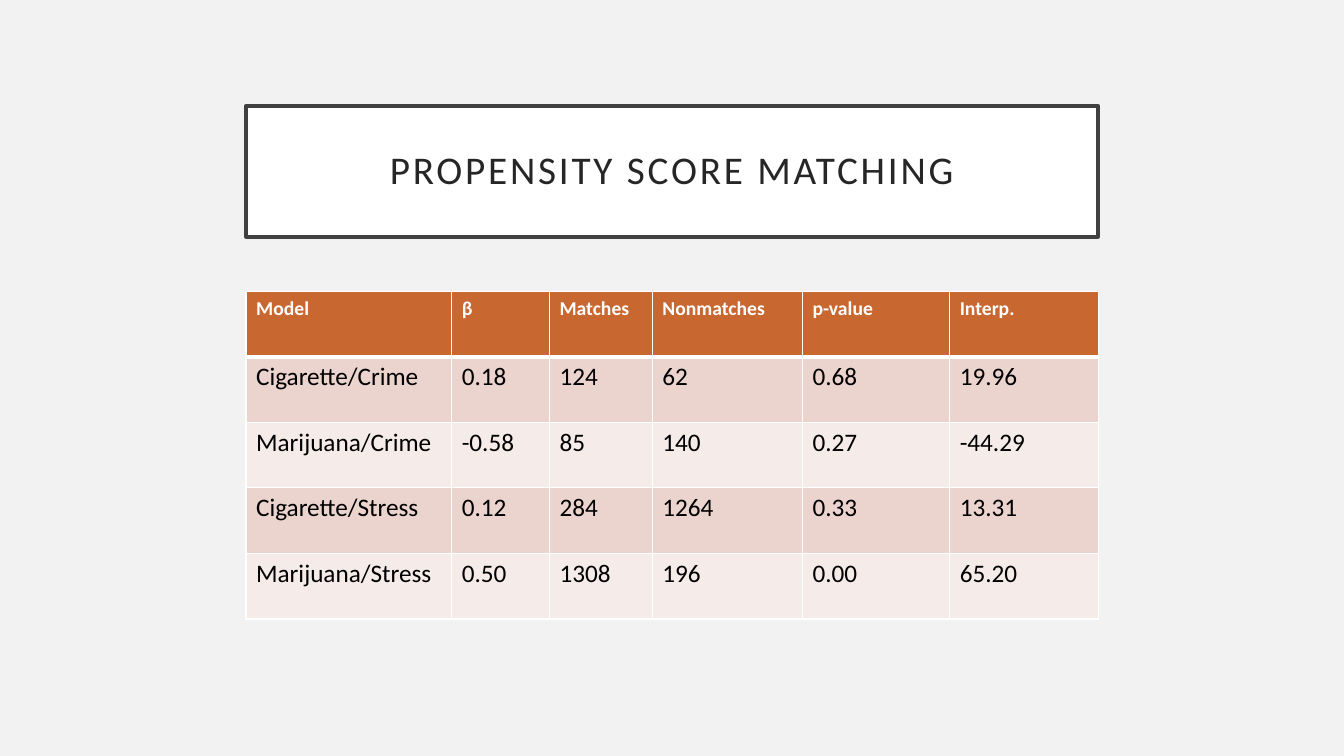
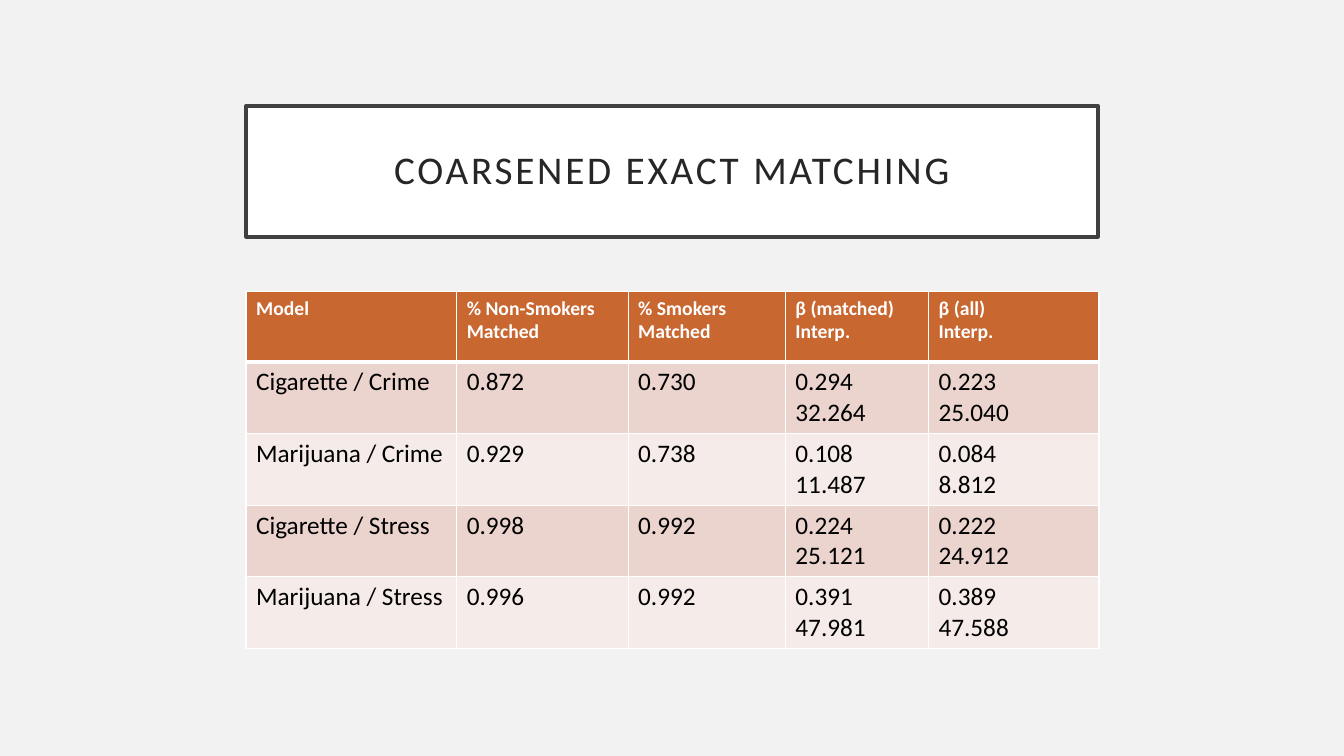
from dataclasses import dataclass

from lxml.etree import SubElement
from pptx import Presentation
from pptx.dml.color import RGBColor
from pptx.enum.text import MSO_ANCHOR, MSO_AUTO_SIZE, PP_ALIGN
from pptx.oxml.ns import qn
from pptx.presentation import Presentation as Deck
from pptx.slide import Slide
from pptx.table import _Cell as Cell
from pptx.text.text import TextFrame
from pptx.util import Emu, Pt

# Shared scale, in px at 100 px to the inch
EMU_PER_PX = 9144
SLIDE_WIDTH, SLIDE_HEIGHT = 1333, 750
CONTENT_LEFT, CONTENT_WIDTH = 244, 845
TITLE_TOP, TITLE_HEIGHT, TITLE_INSET = 105, 130, 20
TABLE_TOP = 289

# Shared look
FONT = "Calibri"
BACKGROUND, WHITE, BLACK = "F2F2F2", "FFFFFF", "000000"
TITLE_TEXT, TITLE_FRAME = "262626", "404040"
HEADER_FILL = "C96731"
BAND_FILLS = ("EBD3CE", "F5EBE8")
THIN_RULE, HEADER_RULE = 1, 3
TITLE_ONLY_LAYOUT = 5


@dataclass(frozen=True)
class TextStyle:
    size: int
    color: str
    bold: bool = False
    tracking: int = 0


TITLE_STYLE = TextStyle(28, TITLE_TEXT, tracking=2)
HEADER_STYLE = TextStyle(14, WHITE, bold=True)
BODY_STYLE = TextStyle(18, BLACK)


@dataclass(frozen=True)
class ResultsSlide:
    title: str
    column_widths: tuple[int, ...]
    row_height: int
    header: tuple[str, ...]
    models: tuple[tuple[str, ...], ...]


RESULTS = (
    ResultsSlide(
        title="PROPENSITY SCORE MATCHING",
        column_widths=(204, 97, 102, 149, 146, 148),
        row_height=65,
        header=("Model", "β", "Matches", "Nonmatches", "p-value", "Interp."),
        models=(
            ("Cigarette/Crime", "0.18", "124", "62", "0.68", "19.96"),
            ("Marijuana/Crime", "-0.58", "85", "140", "0.27", "-44.29"),
            ("Cigarette/Stress", "0.12", "284", "1264", "0.33", "13.31"),
            ("Marijuana/Stress", "0.50", "1308", "196", "0.00", "65.20"),
        ),
    ),
    ResultsSlide(
        title="COARSENED EXACT MATCHING",
        column_widths=(209, 170, 156, 142, 169),
        row_height=70,
        header=("Model", "% Non-Smokers Matched", "% Smokers Matched",
                "β (matched)\nInterp.", "β (all)\nInterp."),
        models=(
            ("Cigarette / Crime", "0.872", "0.730", "0.294\n32.264", "0.223\n25.040"),
            ("Marijuana / Crime", "0.929", "0.738", "0.108\n11.487", "0.084\n8.812"),
            ("Cigarette / Stress", "0.998", "0.992", "0.224\n25.121", "0.222\n24.912"),
            ("Marijuana / Stress", "0.996", "0.992", "0.391\n47.981", "0.389\n47.588"),
        ),
    ),
)


def px(length: int) -> Emu:
    return Emu(length * EMU_PER_PX)


def rgb(hex_color: str) -> RGBColor:
    return RGBColor.from_string(hex_color)


def write(frame: TextFrame, text: str, style: TextStyle) -> None:
    """Write each line of the text as a paragraph with one run."""
    for index, line in enumerate(text.split("\n")):
        paragraph = frame.add_paragraph() if index else frame.paragraphs[0]
        run = paragraph.add_run()
        run.text = line
        run.font.name = FONT
        run.font.size = Pt(style.size)
        run.font.bold = style.bold
        run.font.color.rgb = rgb(style.color)
        if style.tracking:
            run.font._element.set("spc", str(style.tracking * 100))


def add_title(slide: Slide, text: str) -> None:
    title = slide.shapes.title
    title.left, title.top = px(CONTENT_LEFT), px(TITLE_TOP)
    title.width, title.height = px(CONTENT_WIDTH), px(TITLE_HEIGHT)
    title.fill.solid()
    title.fill.fore_color.rgb = rgb(WHITE)
    title.line.color.rgb = rgb(TITLE_FRAME)
    title.line.width = Pt(2.5)

    frame = title.text_frame
    frame.word_wrap = True
    frame.auto_size = MSO_AUTO_SIZE.NONE
    frame.vertical_anchor = MSO_ANCHOR.MIDDLE
    frame.margin_left = frame.margin_right = px(TITLE_INSET)
    frame.margin_top = frame.margin_bottom = px(TITLE_INSET)
    write(frame, text, TITLE_STYLE)
    frame.paragraphs[0].alignment = PP_ALIGN.CENTER
    frame.paragraphs[0].line_spacing = 0.9


def rule_cell(cell: Cell, top: int, bottom: int) -> None:
    """Draw white borders; must come before the fill in the cell's XML."""
    properties = cell._tc.get_or_add_tcPr()
    edges = {"L": THIN_RULE, "R": THIN_RULE, "T": top, "B": bottom}
    for edge, width in edges.items():
        line = SubElement(properties, qn(f"a:ln{edge}"), w=str(Pt(width)))
        fill = SubElement(line, qn("a:solidFill"))
        SubElement(fill, qn("a:srgbClr"), val=WHITE)


def add_results_table(slide: Slide, results: ResultsSlide) -> None:
    rows = (results.header, *results.models)
    table = slide.shapes.add_table(
        len(rows), len(results.header), px(CONTENT_LEFT), px(TABLE_TOP),
        px(sum(results.column_widths)), px(results.row_height * len(rows)),
    ).table
    table.horz_banding = False
    for column, width in zip(table.columns, results.column_widths):
        column.width = px(width)

    for row_index, values in enumerate(rows):
        is_header = row_index == 0
        fill_color = HEADER_FILL if is_header else BAND_FILLS[(row_index - 1) % 2]
        style = HEADER_STYLE if is_header else BODY_STYLE
        top = HEADER_RULE if row_index == 1 else THIN_RULE
        bottom = HEADER_RULE if is_header else THIN_RULE
        for column_index, value in enumerate(values):
            cell = table.cell(row_index, column_index)
            rule_cell(cell, top, bottom)
            cell.fill.solid()
            cell.fill.fore_color.rgb = rgb(fill_color)
            write(cell.text_frame, value, style)


def build_deck() -> Deck:
    deck = Presentation()
    deck.slide_width, deck.slide_height = px(SLIDE_WIDTH), px(SLIDE_HEIGHT)

    # Background shared through the master
    background = deck.slide_master.background.fill
    background.solid()
    background.fore_color.rgb = rgb(BACKGROUND)

    # One slide for each matching method
    for results in RESULTS:
        slide = deck.slides.add_slide(deck.slide_layouts[TITLE_ONLY_LAYOUT])
        add_title(slide, results.title)
        add_results_table(slide, results)
    return deck


def main() -> None:
    build_deck().save("out.pptx")


if __name__ == "__main__":
    main()
